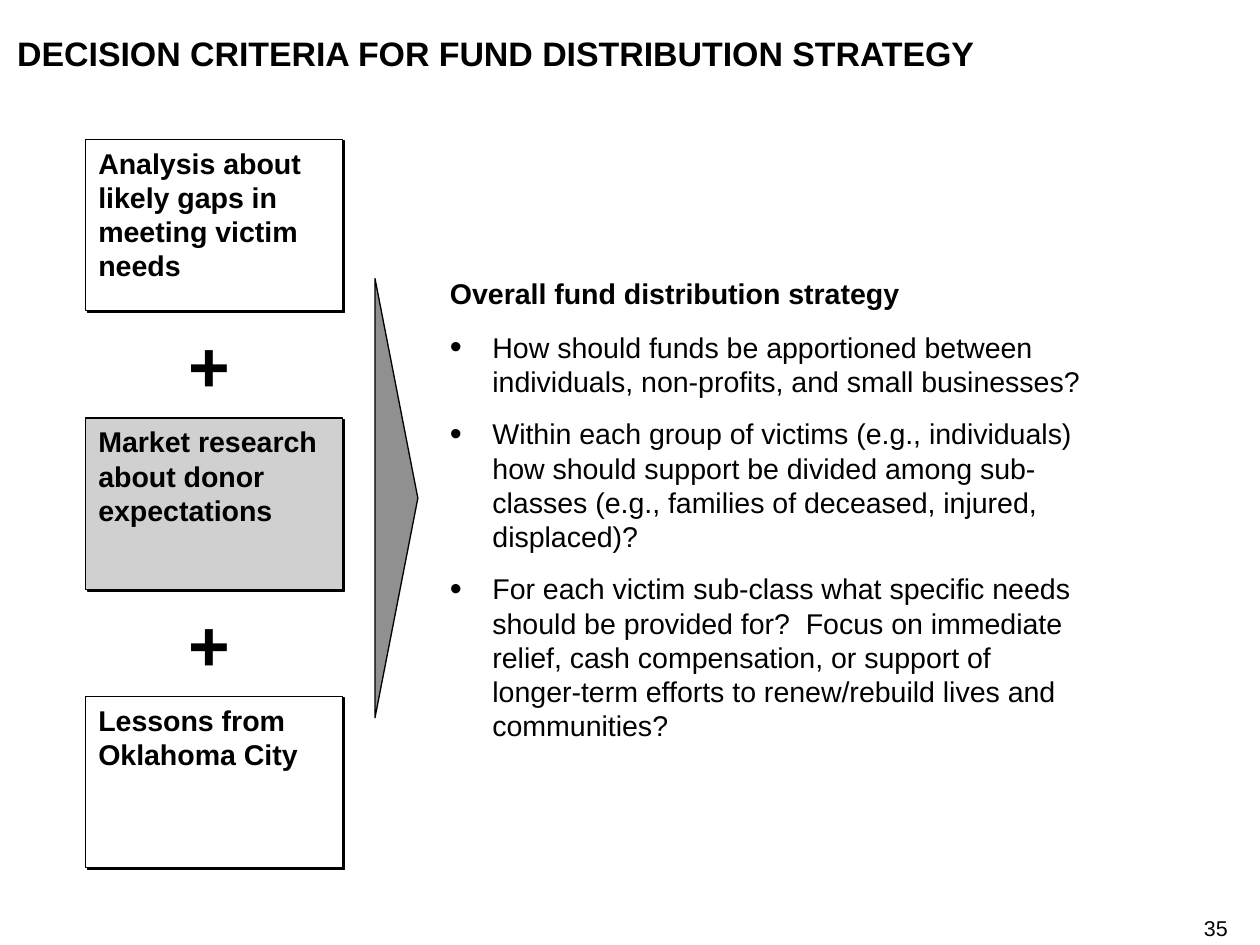
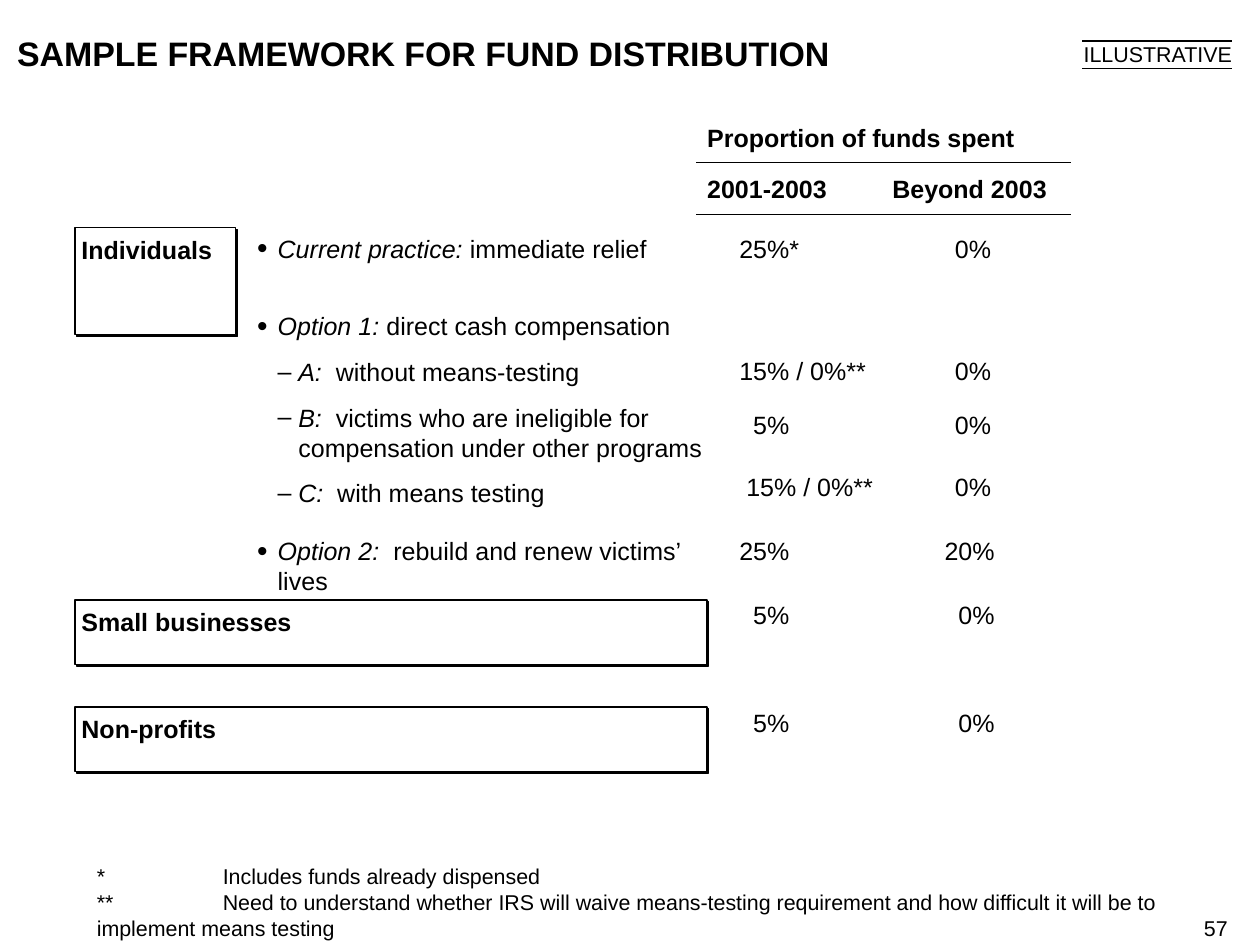
from dataclasses import dataclass

from lxml import etree
from pptx import Presentation
from pptx import util as u
from pptx.dml.color import RGBColor
from pptx.enum import shapes, text
from pptx.oxml import ns


@dataclass(frozen=True)
class Theme:
    font: str = "Arial"
    ink: str = "000000"
    paper: str = "FFFFFF"
    highlight: str = "D0D0D0"
    funnel: str = "909090"
    title: int = 19
    criteria: int = 16
    framework: int = 14
    small: int = 12
    plus: int = 40
    space: float = 3.9


THEME = Theme()
LEFT, CENTER, RIGHT = text.PP_ALIGN.LEFT, text.PP_ALIGN.CENTER, text.PP_ALIGN.RIGHT
TOP, BOTTOM = text.MSO_ANCHOR.TOP, text.MSO_ANCHOR.BOTTOM


def grid(*cells):
    return [u.Inches(cell / 12) for cell in cells]


def colour(code):
    return RGBColor.from_string(code)


def child(parent, tag, **attributes):
    return etree.SubElement(parent, ns.qn(tag), attributes)


def place(holder, area):
    holder.left, holder.top, holder.width, holder.height = grid(*area)
    return holder


def write(holder, paragraphs, size=THEME.framework, bold=False, align=LEFT,
          anchor=TOP, inset=(0, 0), after=0, indent=0, style=None):
    frame = holder.text_frame
    frame.word_wrap = True
    frame.auto_size = text.MSO_AUTO_SIZE.NONE
    frame.vertical_anchor = anchor
    frame.margin_left = frame.margin_right = u.Inches(inset[0])
    frame.margin_top = frame.margin_bottom = u.Inches(inset[1])
    for index, runs in enumerate(paragraphs):
        line = frame.add_paragraph() if index else frame.paragraphs[0]
        line.alignment = align
        line.space_before, line.space_after = u.Pt(0), u.Pt(after)
        if indent:
            line._p.get_or_add_pPr().set("marL", str(u.Pt(indent)))
        if style:
            style(line, index)
        runs = (runs,) if isinstance(runs, str) else runs
        for position, words in enumerate(runs):
            run = line.add_run()
            run.text = words
            run.font.name, run.font.size = THEME.font, u.Pt(size)
            run.font.bold = bold
            run.font.italic = len(runs) > 1 and position == 0
            run.font.color.rgb = colour(THEME.ink)


def label(slide, area, *paragraphs, **form):
    write(slide.shapes.add_textbox(*grid(*area)), paragraphs, **form)


def bullet_style(hang):
    def apply(line, index, level=0):
        line.level = level
        properties = line._p.get_or_add_pPr()
        properties.set("marL", str(u.Inches(hang * (level + 1))))
        properties.set("indent", str(-u.Inches(hang)))
        child(child(properties, "a:buClr"), "a:srgbClr", val=THEME.ink)
        child(properties, "a:buSzPct", val="100000" if level else "120000")
        child(properties, "a:buFont", typeface=THEME.font)
        child(properties, "a:buChar", char="–" if level else "•")
    return apply


def option_style(line, index):
    bullet_style(0.16)(line, index, level=min(index, 1))


def footnote_style(line, index):
    tabs = child(line._p.get_or_add_pPr(), "a:tabLst")
    child(tabs, "a:tab", pos=str(u.Inches(0.98)), algn="l")


def solid(slide, kind, area, fill):
    figure = slide.shapes.add_shape(kind, *grid(*area))
    figure.fill.solid()
    figure.fill.fore_color.rgb = colour(fill)
    figure.line.color.rgb = colour(THEME.ink)
    figure.line.width = u.Pt(0.75)
    figure.shadow.inherit = False
    return figure


def shadow_box(slide, area, words, fill=THEME.paper, **form):
    box = solid(slide, shapes.MSO_SHAPE.RECTANGLE, area, fill)
    effects = box._element.spPr.find(ns.qn("a:effectLst"))
    shade = child(effects, "a:outerShdw", blurRad="0", dist=str(u.Pt(1.4)),
                  dir="2700000", algn="ctr", rotWithShape="0")
    child(shade, "a:srgbClr", val=THEME.ink)
    write(box, [words], bold=True, **form)


def rule(slide, start, end, row, width=0.75):
    stroke = slide.shapes.add_connector(
        shapes.MSO_CONNECTOR.STRAIGHT, *grid(start, row, end, row))
    stroke.line.color.rgb = colour(THEME.ink)
    stroke.line.width = u.Pt(width)
    child(stroke._element.spPr, "a:effectLst")


def new_slide(deck, title, number):
    slide = deck.slides.add_slide(deck.slide_layouts[1])
    write(slide.shapes.title, [title], size=THEME.title, bold=True)
    label(slide, (112.2, 85.4, 2.4, 2.4), number, size=THEME.small, align=RIGHT)
    return slide


def criteria_slide(deck):
    slide = new_slide(deck, "DECISION CRITERIA FOR FUND DISTRIBUTION STRATEGY", "35")
    inputs = [
        ("Analysis about likely gaps in meeting victim needs", THEME.paper),
        ("Market research about donor expectations", THEME.highlight),
        ("Lessons from Oklahoma City", THEME.paper),
    ]
    for index, (words, fill) in enumerate(inputs):
        row = 13 + 26 * index
        shadow_box(slide, (8, row, 24, 16), words, fill,
                   size=THEME.criteria, inset=(0.1, 0.05))
        if index:
            label(slide, (8, row - 9, 23, 8), "+",
                  size=THEME.plus, bold=True, align=CENTER)
    funnel = solid(slide, shapes.MSO_SHAPE.ISOSCELES_TRIANGLE,
                   (16.5, 44.5, 41, 4), THEME.funnel)
    funnel.rotation = 90
    label(slide, (42, 25.8, 59, 3.2), "Overall fund distribution strategy",
          size=THEME.criteria, bold=True)
    questions = [
        "How should funds be apportioned between individuals, non-profits, "
        "and small businesses?",
        "Within each group of victims (e.g., individuals) how should support be "
        "divided among sub-classes (e.g., families of deceased, injured, displaced)?",
        "For each victim sub-class what specific needs should be provided for?  "
        "Focus on immediate relief, cash compensation, or support of longer-term "
        "efforts to renew/rebuild lives and communities?",
    ]
    write(place(slide.placeholders[1], (42, 30.8, 59, 38.5)), questions,
          size=THEME.criteria, after=10, style=bullet_style(0.33))


def stamp(slide, words):
    label(slide, (101, 3.8, 14, 2.6), words, size=THEME.small, align=RIGHT)
    for row in (3.8, 6.4):
        rule(slide, 101, 115, row, width=1)


def proportions(slide):
    label(slide, (66, 11.4, 43, 2.8), "Proportion of funds spent", bold=True)
    label(slide, (66, 16.2, 16, 2.8), "2001-2003", bold=True)
    label(slide, (82, 16.2, 17, 2.8), "Beyond 2003", bold=True, align=CENTER)
    for row in (15.2, 20):
        rule(slide, 65, 100, row)
    shares = [
        (21.8, "25%*", 0, "0%", 1),
        (33.2, "15% / 0%**", 0, "0%", 1),
        (38.2, "5%", 2, "0%", 1),
        (44, "15% / 0%**", 1, "0%", 1),
        (50, "25%", 0, "20%", 0),
        (56, "5%", 2, "0%", 2),
        (66, "5%", 2, "0%", 2),
    ]
    for row, early, early_pad, later, later_pad in shares:
        label(slide, (69, row, 16, 2.8), early, indent=early_pad * THEME.space)
        label(slide, (82, row, 17, 2.8), later, align=CENTER,
              indent=later_pad * THEME.space)


def framework_slide(deck):
    slide = new_slide(deck, "SAMPLE FRAMEWORK FOR FUND DISTRIBUTION", "57")
    stamp(slide, "ILLUSTRATIVE")
    groups = [
        ((7, 21.25, 15, 10), "Individuals"),
        ((7, 56, 59, 6), "Small businesses"),
        ((7, 66, 59, 6), "Non-profits"),
    ]
    for area, words in groups:
        shadow_box(slide, area, words, inset=(0.05, 0.05))
    label(slide, (24, 21.8, 44, 2.8), ("Current practice:", " immediate relief"),
          style=option_style)
    compensation = [
        ("Option 1:", " direct cash compensation"),
        ("A:", "  without means-testing"),
        ("B:", "  victims who are ineligible for compensation under other programs"),
        ("C:", "  with means testing"),
    ]
    write(place(slide.placeholders[1], (24, 29, 44, 18.4)), compensation,
          after=8.8, style=option_style)
    label(slide, (24, 50, 44, 5.6),
          ("Option 2:", "  rebuild and renew victims’ lives"), style=option_style)
    proportions(slide)
    label(slide, (1.6, 80.6, 107.2, 7.2),
          "*\tIncludes funds already dispensed",
          "**\tNeed to understand whether IRS will waive means-testing requirement "
          "and how difficult it will be to implement means testing",
          size=THEME.small, anchor=BOTTOM, indent=44.6, style=footnote_style)


def main():
    deck = Presentation()
    deck.slide_width, deck.slide_height = u.Inches(9.8), u.Inches(7.35)
    place(deck.slide_layouts[1].placeholders[0], (1.6, 3, 113.2, 3.8))
    criteria_slide(deck)
    framework_slide(deck)
    deck.save("out.pptx")


if __name__ == "__main__":
    main()
